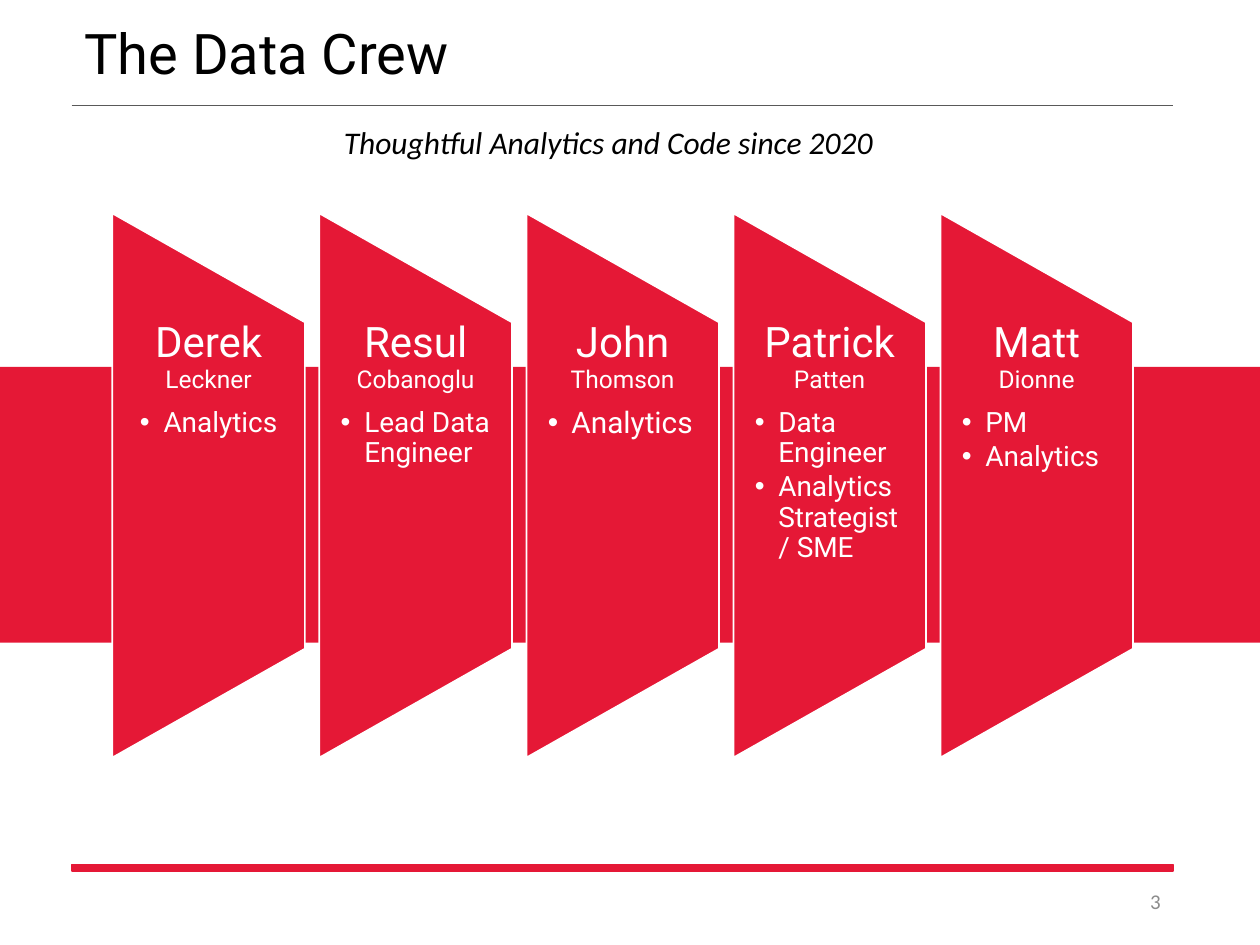
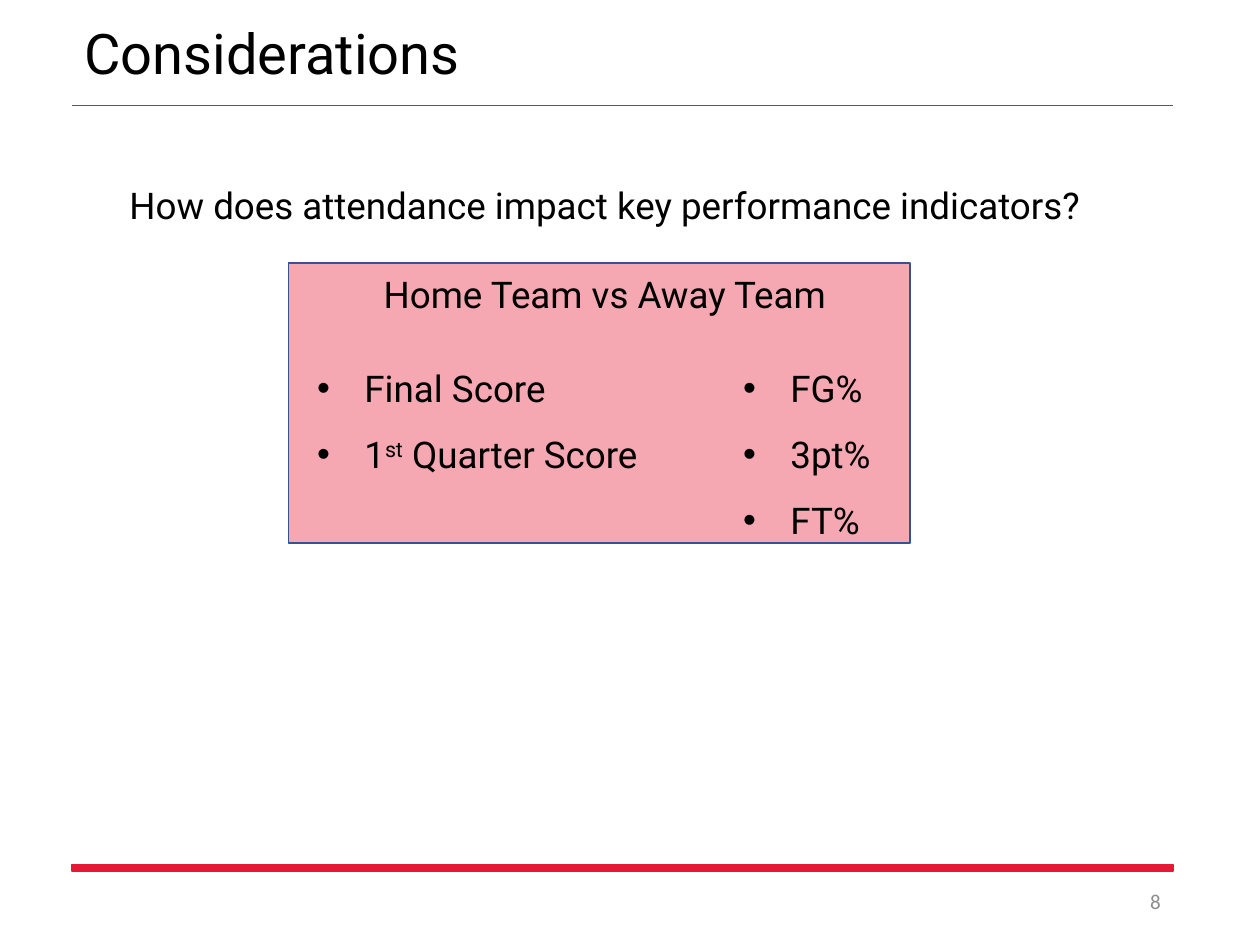
import pptx
import pptx.util
import pptx.dml.color
import pptx.enum.shapes
import pptx.enum.text
import pptx.oxml
import pptx.oxml.ns
import lxml.etree

Pt = pptx.util.Pt
SHAPE = pptx.enum.shapes.MSO_SHAPE
ALIGN = pptx.enum.text.PP_ALIGN
ANCHOR = pptx.enum.text.MSO_ANCHOR
qn = pptx.oxml.ns.qn

RED, BLACK, WHITE = "E51836", "000000", "FFFFFF"
RULE_GREY, NUMBER_GREY, BOX_BLUE = "595959", "8C8C8C", "325491"
HEADING_FONT, PLAIN_FONT = "Roboto", "Calibri"
MARGIN, CONTENT_WIDTH = 41, 629.3


def colour(hex_string):
    return pptx.dml.color.RGBColor.from_string(hex_string)


class Deck:
    """Holds the shared style and the current slide."""

    def __init__(self):
        self.presentation = pptx.Presentation()
        self.presentation.slide_width = Pt(720)
        self.presentation.slide_height = Pt(540)
        self.slide = None

    def new_slide(self, title, number):
        layout = self.presentation.slide_layouts.get_by_name("Title Only")
        self.slide = self.presentation.slides.add_slide(layout)
        # Title
        shape = self.slide.shapes.title
        shape.left, shape.top, shape.width, shape.height = Pt(MARGIN), Pt(4.3), Pt(620.6), Pt(55.4)
        frame = shape.text_frame
        frame.auto_size = pptx.enum.text.MSO_AUTO_SIZE.NONE
        frame.vertical_anchor = ANCHOR.MIDDLE
        self.paragraph(frame, [title], 32, line_spacing=0.9)
        # Rule, bottom bar and slide number
        self.rule(MARGIN, 60.2, MARGIN + CONTENT_WIDTH)
        self.box(SHAPE.RECTANGLE, MARGIN, 494, CONTENT_WIDTH, 3.6, RED, RED)
        frame = self.text_box(508.3, 500.4, 162, 28.8)
        frame.vertical_anchor = ANCHOR.MIDDLE
        self.paragraph(frame, [number], 12, PLAIN_FONT, NUMBER_GREY, ALIGN.RIGHT)

    def rule(self, left, top, right):
        line = self.slide.shapes.add_connector(
            pptx.enum.shapes.MSO_CONNECTOR.STRAIGHT, Pt(left), Pt(top), Pt(right), Pt(top))
        line.line.color.rgb = colour(RULE_GREY)
        line.line.width = Pt(0.5)
        lxml.etree.SubElement(line._element.spPr, qn("a:effectLst"))

    def box(self, kind, left, top, width, height, fill, line=None, opacity=100, rotation=0):
        shape = self.slide.shapes.add_shape(kind, Pt(left), Pt(top), Pt(width), Pt(height))
        shape.shadow.inherit = False
        shape.rotation = rotation
        shape.fill.solid()
        shape.fill.fore_color.rgb = colour(fill)
        if opacity < 100:
            fill_colour = shape._element.spPr.find(qn("a:solidFill"))[0]
            lxml.etree.SubElement(fill_colour, qn("a:alpha"), val=str(opacity * 1000))
        if line:
            shape.line.color.rgb = colour(line)
            shape.line.width = Pt(1)
        else:
            shape.line.fill.background()

    def text_box(self, left, top, width, height, wrap=True, side_margin=7.2, top_margin=3.6):
        shape = self.slide.shapes.add_textbox(Pt(left), Pt(top), Pt(width), Pt(height))
        frame = shape.text_frame
        frame.word_wrap = wrap
        frame.margin_left = frame.margin_right = Pt(side_margin)
        frame.margin_top = frame.margin_bottom = Pt(top_margin)
        return frame

    def paragraph(self, frame, parts, size, font=HEADING_FONT, text_colour=BLACK,
                  align=ALIGN.LEFT, line_spacing=1.0, before=0, after=0, bullet=None, italic=False):
        """Add a paragraph; a part is text or (text, size); bullet is (indent, hanging)."""
        paragraph = frame.paragraphs[0]
        if paragraph.runs:
            paragraph = frame.add_paragraph()
        paragraph.alignment = align
        paragraph.line_spacing = line_spacing
        paragraph.space_before, paragraph.space_after = Pt(before), Pt(after)
        if bullet:
            properties = paragraph._p.get_or_add_pPr()
            indent, hanging = bullet
            properties.set("marL", str(Pt(indent)))
            properties.set("indent", str(-Pt(hanging)))
            lxml.etree.SubElement(properties, qn("a:buFont"), typeface="Arial")
            lxml.etree.SubElement(properties, qn("a:buChar"), char="•")
        paragraph.font.name = font
        paragraph.font.size = Pt(size)
        paragraph.font.italic = italic
        paragraph.font.color.rgb = colour(text_colour)
        for part in parts:
            run = paragraph.add_run()
            if isinstance(part, tuple):
                run.text, run_size = part
                run.font.size = Pt(run_size)
            else:
                run.text = part
        return paragraph

    def bullet_list(self, left, top, width, height, items, wrap=True):
        frame = self.text_box(left, top, width, height, wrap)
        return [self.paragraph(frame, parts, 21, line_spacing=1.5, bullet=(99, 27))
                for parts in items]


def add_team_slide(deck):
    deck.new_slide("The Data Crew", "3")
    deck.box(SHAPE.RECTANGLE, 0, 209.7, 720, 157.5, RED)
    frame = deck.text_box(189.4, 67, 324, 28.8, wrap=False)
    deck.paragraph(frame, ["Thoughtful Analytics and Code since 2020"], 18, PLAIN_FONT, italic=True)

    # One upright panel per member: first name, last name, roles, role size, role alignment
    members = [
        ("Derek", "Leckner", ["Analytics"], 16, ALIGN.CENTER),
        ("Resul", "Cobanoglu", ["Lead Data Engineer"], 16, ALIGN.LEFT),
        ("John", "Thomson", ["Analytics"], 17, ALIGN.LEFT),
        ("Patrick", "Patten", ["Data Engineer", "Analytics Strategist / SME"], 16, ALIGN.LEFT),
        ("Matt", "Dionne", ["PM", "Analytics"], 16, ALIGN.LEFT),
    ]
    first_left, pitch, panel_width, panel_height, middle = 64.2, 118.3, 110, 311, 277.4
    text_height = 186.6
    for index, (first_name, last_name, roles, role_size, role_align) in enumerate(members):
        left = first_left + index * pitch
        # The panel is turned, so its frame lies across the column
        deck.box(SHAPE.FLOWCHART_MANUAL_OPERATION,
                 left + (panel_width - panel_height) / 2, middle - panel_width / 2,
                 panel_height, panel_width, RED, WHITE, rotation=270)
        frame = deck.text_box(left, middle - text_height / 2 - 0.3, panel_width, text_height,
                              side_margin=12.2, top_margin=0)
        deck.paragraph(frame, [first_name + " ", (last_name, 14)], 24, text_colour=WHITE,
                       align=ALIGN.CENTER, line_spacing=0.9, after=8.4)
        for role in roles:
            deck.paragraph(frame, [role], role_size, text_colour=WHITE, align=role_align,
                           line_spacing=0.9, after=2.4, bullet=(13.5, 13.5))


def add_considerations_slide(deck):
    deck.new_slide("Considerations", "8")
    deck.box(SHAPE.RECTANGLE, 164.9, 150.5, 355, 160, RED, BOX_BLUE, opacity=38)

    # Question and box heading
    frame = deck.text_box(31, 100.8, CONTENT_WIDTH, 83.5)
    deck.paragraph(frame, ["How does attendance impact key performance indicators?"], 21,
                   align=ALIGN.CENTER)
    deck.paragraph(frame, ["Home Team vs Away Team"], 21, align=ALIGN.CENTER, before=25.6)

    # Indicators
    scores = deck.bullet_list(102.2, 193, 291, 151,
                              [["Final Score"], ["1", "st", " Quarter Score"]])
    scores[1].runs[1]._r.get_or_add_rPr().set("baseline", "30000")
    deck.bullet_list(345.6, 193, 162.7, 117.4, [["FG%"], ["3pt%"], ["FT%"]], wrap=False)


def main():
    deck = Deck()
    add_team_slide(deck)
    add_considerations_slide(deck)
    deck.presentation.save("out.pptx")


if __name__ == "__main__":
    main()
